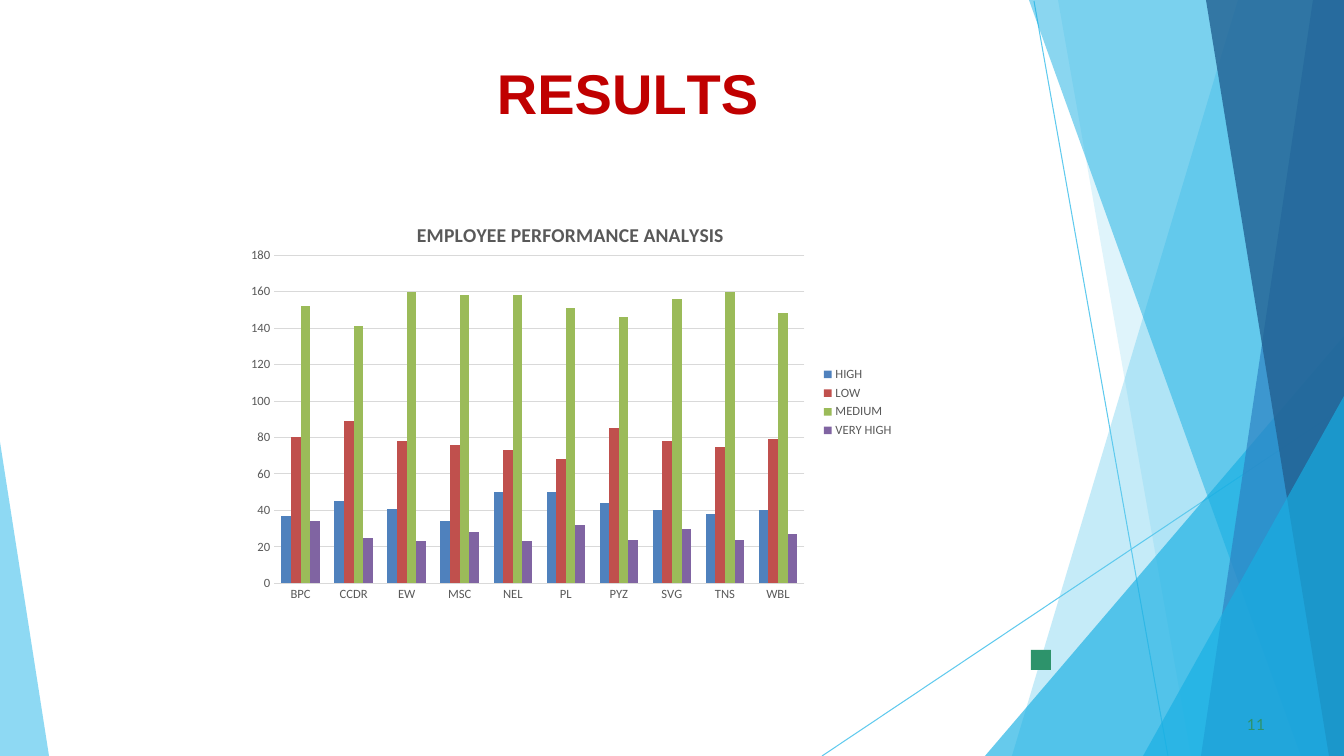
"""Build the results slide: a clustered column chart beside a faceted blue border."""
from lxml import etree
from pptx import Presentation, util as u
from pptx.chart.data import CategoryChartData
from pptx.dml.color import RGBColor
from pptx.enum import chart as charts, shapes, text
from pptx.oxml import parse_xml
from pptx.oxml.ns import nsdecls, qn

PX = 914400 / 100.8
WIDTH, HEIGHT = 1344, 756
SKY = RGBColor(0x5F, 0xCA, 0xEE)
CYAN = RGBColor(0x17, 0xAF, 0xE3)
BLUE = RGBColor(0x2D, 0x83, 0xC3)
NAVY = RGBColor(0x22, 0x61, 0x92)
GREEN = RGBColor(0x2D, 0x93, 0x6B)
RED = RGBColor(0xC0, 0x00, 0x00)
GREY = RGBColor(0x59, 0x59, 0x59)
GRID = RGBColor(0xD9, 0xD9, 0xD9)
SERIES_BLUE = RGBColor(0x4F, 0x81, 0xBD)
SERIES_RED = RGBColor(0xC0, 0x50, 0x4D)
SERIES_GREEN = RGBColor(0x9B, 0xBB, 0x59)
SERIES_PURPLE = RGBColor(0x80, 0x64, 0xA2)


def emu(*lengths):
    return [round(length * PX) for length in lengths]


def set_font(font, color, **values):
    for name, value in values.items():
        setattr(font, name, value)
    font.color.rgb = color


deck = Presentation()
deck.slide_width, deck.slide_height = emu(WIDTH, HEIGHT)
page = deck.slides.add_slide(deck.slide_layouts[6])

for ends in [(1034, 1, 1168, HEIGHT), (WIDTH, 407, 822, HEIGHT)]:
    ray = page.shapes.add_connector(shapes.MSO_CONNECTOR.STRAIGHT, *emu(*ends))
    ray.line.color.rgb = SKY
    ray.line.width = u.Pt(0.75)
    etree.SubElement(ray._element.spPr, qn("a:effectLst"))

TOP_RIGHT, BOTTOM_RIGHT = (WIDTH, 0), (WIDTH, HEIGHT)
facets = [
    (SKY, 36, [TOP_RIGHT, (1238, 0), (1012, HEIGHT), BOTTOM_RIGHT]),
    (SKY, 20, [TOP_RIGHT, (1058, 0), (1191, HEIGHT), BOTTOM_RIGHT]),
    (CYAN, 66, [(WIDTH, 336), (985, HEIGHT), BOTTOM_RIGHT]),
    (CYAN, 50, [TOP_RIGHT, (1029, 0), (1301, HEIGHT), BOTTOM_RIGHT]),
    (BLUE, 70, [TOP_RIGHT, (1313, 0), (1201, HEIGHT), BOTTOM_RIGHT]),
    (NAVY, 80, [TOP_RIGHT, (1206, 0), (1329, HEIGHT), BOTTOM_RIGHT]),
    (CYAN, 66, [(WIDTH, 396), (1143, HEIGHT), BOTTOM_RIGHT]),
    (SKY, 70, [(0, 442), (0, HEIGHT), (49, HEIGHT)]),
]
for color, opacity, corners in facets:
    builder = page.shapes.build_freeform(*corners[0], scale=PX)
    builder.add_line_segments(corners[1:], close=True)
    facet = builder.convert_to_shape()
    facet.shadow.inherit = False
    facet.line.fill.background()
    facet.fill.solid()
    facet.fill.fore_color.rgb = color
    tint = facet._element.spPr.find(".//" + qn("a:srgbClr"))
    etree.SubElement(tint, qn("a:alpha"), val=str(opacity * 1000))

square = page.shapes.add_shape(shapes.MSO_SHAPE.RECTANGLE, *emu(1031, 650, 20, 20))
square.shadow.inherit = False
square.line.fill.background()
square.fill.solid()
square.fill.fore_color.rgb = GREEN

title_font = {"name": "Arial", "size": u.Pt(40), "bold": True}
number_font = {"name": "Lato", "size": u.Pt(11)}
captions = [
    ((496, 58, 345, 70), 1, 1.1, RED, title_font,
     [("R", 0), ("E", -40), ("S", 10), ("U", -30), ("L", -400), ("TS", 0)]),
    ((1243, 714, 25, 21), 4, 0.6, GREEN, number_font, [("11", 10)]),
]
for frame, indent, space, color, font, pieces in captions:
    box = page.shapes.add_textbox(*emu(*frame)).text_frame
    margins = {"margin_left": indent, "margin_top": 1, "margin_right": 0, "margin_bottom": 0}
    for name, length in margins.items():
        setattr(box, name, emu(length)[0])
    box.word_wrap = True
    box.vertical_anchor = text.MSO_ANCHOR.TOP
    para = box.paragraphs[0]
    para.space_before = u.Pt(space)
    for letters, spacing in pieces:
        span = para.add_run()
        span.text = letters
        set_font(span.font, color, **font)
        span.font._element.set("spc", str(spacing))

series_table = [
    ("HIGH", SERIES_BLUE, (37, 45, 41, 34, 50, 50, 44, 40, 38, 40)),
    ("LOW", SERIES_RED, (80, 89, 78, 76, 73, 68, 85, 78, 75, 79)),
    ("MEDIUM", SERIES_GREEN, (152, 141, 160, 158, 158, 151, 146, 156, 160, 148)),
    ("VERY HIGH", SERIES_PURPLE, (34, 25, 23, 28, 23, 32, 24, 30, 24, 27)),
]
data = CategoryChartData()
data.categories = ["BPC", "CCDR", "EW", "MSC", "NEL", "PL", "PYZ", "SVG", "TNS", "WBL"]
for name, color, values in series_table:
    data.add_series(name, values)
chart = page.shapes.add_chart(
    charts.XL_CHART_TYPE.COLUMN_CLUSTERED, *emu(241, 192, 663, 421), data).chart
set_font(chart.font, GREY, name="Calibri", size=u.Pt(9))

heading = chart.chart_title.text_frame
heading.text = "EMPLOYEE PERFORMANCE ANALYSIS"
set_font(heading.paragraphs[0].runs[0].font, GREY, name="Calibri", size=u.Pt(14), bold=True)
chart.chart_title.include_in_layout = False

chart.has_legend = True
chart.legend.position = charts.XL_LEGEND_POSITION.RIGHT
chart.legend.include_in_layout = False
set_font(chart.legend.font, GREY, name="Calibri", size=u.Pt(9))

plot = chart.plots[0]
plot.gap_width, plot.overlap, plot.vary_by_categories = 150, 0, False
for series, (name, color, values) in zip(plot.series, series_table):
    series.format.fill.solid()
    series.format.fill.fore_color.rgb = color

for axis in (chart.category_axis, chart.value_axis):
    axis.major_tick_mark = axis.minor_tick_mark = charts.XL_TICK_MARK.NONE
    axis.format.line.fill.background()
    set_font(axis.tick_labels.font, GREY, name="Calibri", size=u.Pt(9))
scale = {"minimum_scale": 0, "maximum_scale": 180, "major_unit": 20}
for name, value in scale.items():
    setattr(chart.value_axis, name, value)
grid_line = chart.value_axis.major_gridlines.format.line
grid_line.color.rgb = GRID
grid_line.width = u.Pt(0.75)

title_xml = chart.chart_title._element
plot_xml = chart._chartSpace.chart.plotArea
layouts = [
    (title_xml, title_xml.find(qn("c:tx")), "", {"x": 0.26, "y": 0.06}),
    (plot_xml, None, '<c:layoutTarget val="inner"/>',
     {"x": 0.05, "y": 0.15, "w": 0.8, "h": 0.78}),
]
for parent, before, target, places in layouts:
    for old in parent.findall(qn("c:layout")):
        parent.remove(old)
    modes = "".join(f'<c:{side}Mode val="edge"/>' for side in "xy")
    sizes = "".join(f'<c:{side} val="{value}"/>' for side, value in places.items())
    layout = parse_xml(f'<c:layout {nsdecls("c")}><c:manualLayout>{target}{modes}{sizes}'
                       '</c:manualLayout></c:layout>')
    parent.insert(0 if before is None else parent.index(before) + 1, layout)

deck.save("out.pptx")
